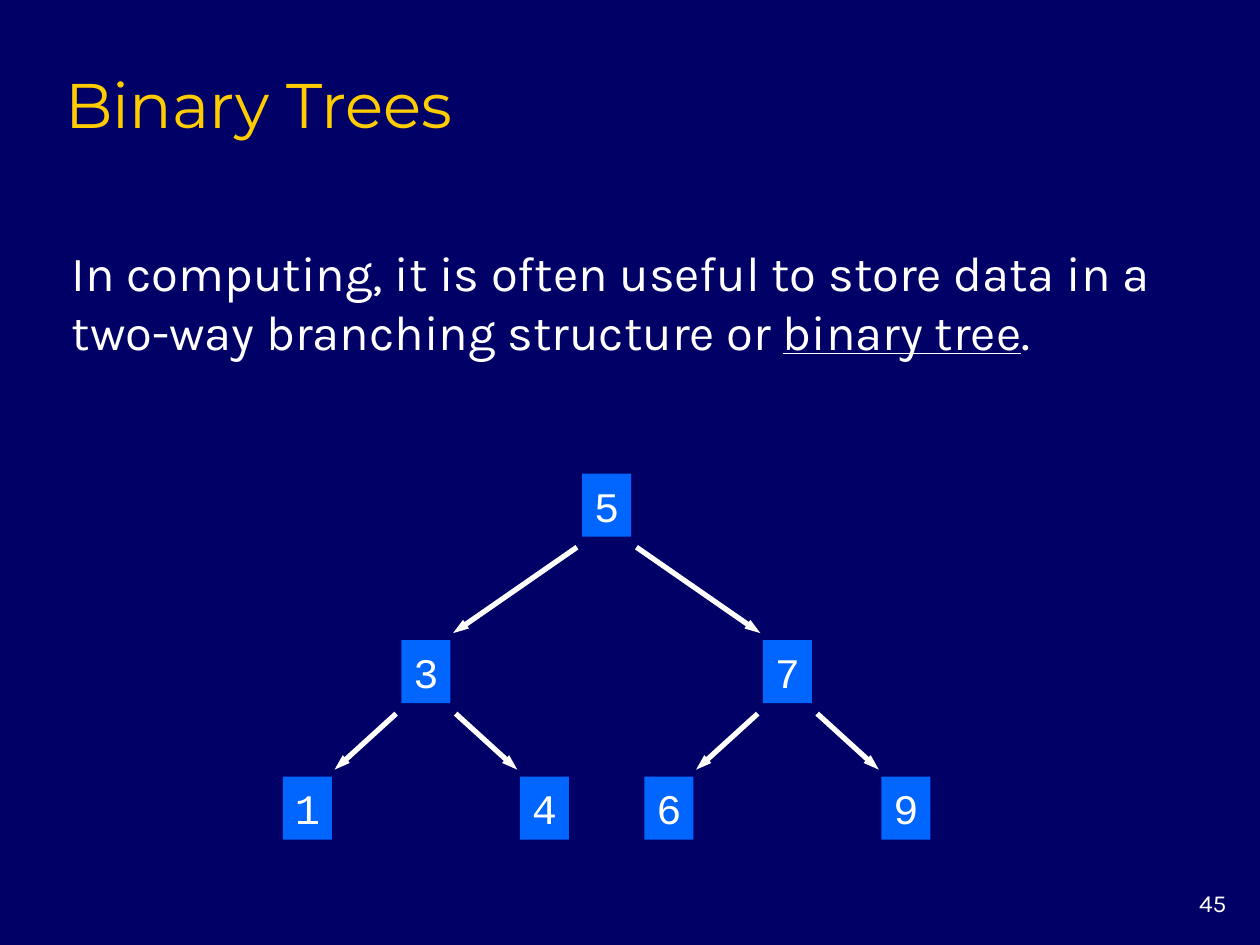
from lxml.etree import SubElement
from pptx import Presentation
from pptx.dml.color import RGBColor
from pptx.enum.shapes import MSO_CONNECTOR, MSO_SHAPE
from pptx.enum.text import MSO_ANCHOR, PP_ALIGN
from pptx.oxml.ns import qn
from pptx.util import Pt

TITLE = "Binary Trees"
BODY = [
    ("In computing, it is often useful to store data in a "
     "two-way branching structure or ", False),
    ("binary tree", True),
    (".", False),
]
PAGE = "45"
TREE = (5, (3, (1,), (4,)), (7, (6,), (9,)))  # value, left, right

THEME = {
    "background": RGBColor(0x00, 0x00, 0x66),
    "title": ("Montserrat", 36, RGBColor(0xFF, 0xCC, 0x00)),
    "body": ("Karla", 28, RGBColor(0xFF, 0xFF, 0xFF)),
    "page": ("Karla", 14, RGBColor(0xFF, 0xFF, 0xFF)),
    "node": ("Courier New", 24, RGBColor(0xFF, 0xFF, 0xFF)),
    "node_fill": RGBColor(0x00, 0x66, 0xFF),
    "arrow": RGBColor(0xFF, 0xFF, 0xFF),
}

ROOT_X = 346.7
LEVEL_TOPS = (270.7, 365.8, 443.8)
CHILD_OFFSETS = (103.3, 67.7)
NODE_W, NODE_H = 28, 36
ARROW_START = (17, 6)  # from the parent's centre, below its bottom
ARROW_END = (15.5, 4)  # from the child's centre, above its top


def style(r, role):
    r.font.name, size, r.font.color.rgb = THEME[role]
    r.font.size = Pt(size)


def add_text(slide, runs, role, box, align, anchor):
    tf = slide.shapes.add_textbox(*map(Pt, box)).text_frame
    tf.word_wrap = True
    tf.vertical_anchor = anchor
    p = tf.paragraphs[0]
    p.alignment = align
    for text, underlined in runs:
        r = p.add_run()
        r.text = text
        style(r, role)
        if underlined:
            r.font.underline = True


def add_node(slide, value, x, top):
    s = slide.shapes.add_shape(MSO_SHAPE.RECTANGLE, Pt(x - NODE_W / 2), Pt(top),
                               Pt(NODE_W), Pt(NODE_H))
    s.shadow.inherit = False
    s.fill.solid()
    s.fill.fore_color.rgb = THEME["node_fill"]
    s.line.fill.background()
    tf = s.text_frame
    tf.word_wrap = False
    tf.vertical_anchor = MSO_ANCHOR.MIDDLE
    tf.text = str(value)
    p = tf.paragraphs[0]
    p.alignment = PP_ALIGN.CENTER
    style(p.runs[0], "node")


def add_arrow(slide, x1, y1, x2, y2):
    c = slide.shapes.add_connector(MSO_CONNECTOR.STRAIGHT, Pt(x1), Pt(y1), Pt(x2), Pt(y2))
    c.line.color.rgb = THEME["arrow"]
    c.line.width = Pt(3)
    SubElement(c.line._get_or_add_ln(), qn("a:tailEnd"), type="triangle", w="sm", len="med")
    SubElement(c._element.spPr, qn("a:effectLst"))


def add_tree(slide, tree, x, level=0):
    value, *children = tree
    top = LEVEL_TOPS[level]
    add_node(slide, value, x, top)
    for child, side in zip(children, (-1, 1)):
        child_x = x + side * CHILD_OFFSETS[level]
        add_arrow(slide,
                  x + side * ARROW_START[0], top + NODE_H + ARROW_START[1],
                  child_x - side * ARROW_END[0], LEVEL_TOPS[level + 1] - ARROW_END[1])
        add_tree(slide, child, child_x, level + 1)


def main():
    prs = Presentation()
    prs.slide_width, prs.slide_height = Pt(720), Pt(540)
    slide = prs.slides.add_slide(prs.slide_layouts[5])
    slide.background.fill.solid()
    slide.background.fill.fore_color.rgb = THEME["background"]

    title = slide.shapes.title
    title.left, title.top, title.width, title.height = map(Pt, (30, 30, 612, 54))
    tf = title.text_frame
    tf.text = TITLE
    tf.vertical_anchor = MSO_ANCHOR.BOTTOM
    tf.paragraphs[0].alignment = PP_ALIGN.LEFT
    style(tf.paragraphs[0].runs[0], "title")

    add_text(slide, BODY, "body", (34, 134.6, 645, 75), PP_ALIGN.LEFT, MSO_ANCHOR.MIDDLE)
    add_tree(slide, TREE, ROOT_X)
    add_text(slide, [(PAGE, False)], "page", (660, 504, 48, 24), PP_ALIGN.RIGHT, MSO_ANCHOR.TOP)
    prs.save("out.pptx")


if __name__ == "__main__":
    main()
